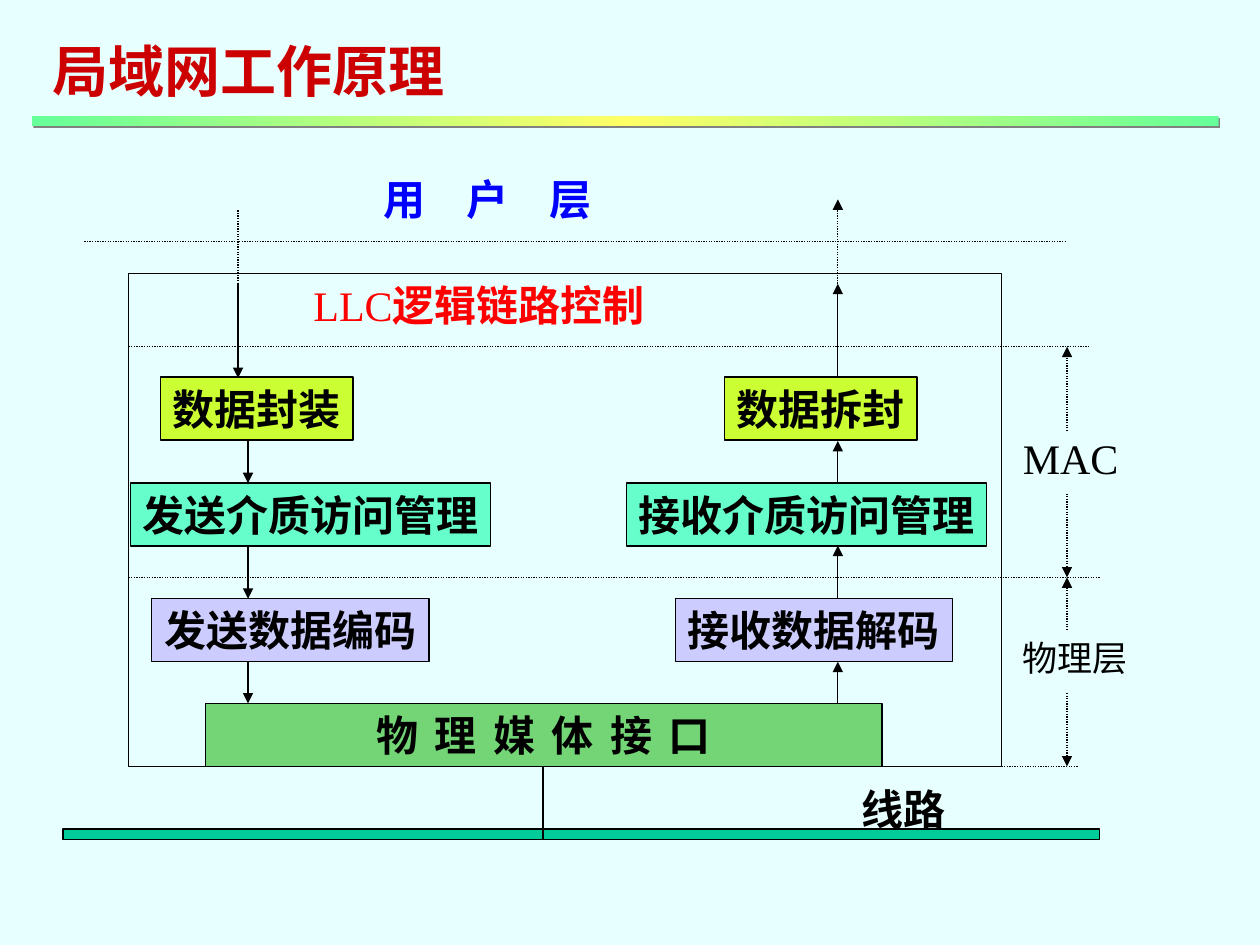
from lxml.etree import SubElement
from pptx import Presentation
from pptx.dml.color import RGBColor
from pptx.enum.dml import MSO_LINE
from pptx.enum.shapes import MSO_CONNECTOR, MSO_SHAPE
from pptx.enum.text import MSO_ANCHOR, PP_ALIGN
from pptx.oxml import parse_xml
from pptx.oxml.ns import nsdecls, qn
from pptx.util import Cm, Pt

COLOURS = {
    "background": "E7FFFF", "title": "CC0000", "user": "0000FF", "llc": "FF0000",
    "black": "000000", "data": "CCFF33", "access": "66FFCC", "coding": "CCCCFF",
    "interface": "73D575", "cable": "00CC99", "rule_end": "66FF99",
    "rule_middle": "FFFF66", "rule_shadow": "808080",
}


def colour(name):
    return RGBColor.from_string(COLOURS[name])


def write(shape, runs, align=PP_ALIGN.LEFT, wrap=False, spacing=0):
    """Fill a shape with runs of (text, size, colour name, bold)."""
    frame = shape.text_frame
    frame.word_wrap = wrap
    frame.vertical_anchor = MSO_ANCHOR.TOP
    paragraph = frame.paragraphs[0]
    paragraph.alignment = align
    for text, size, colour_name, bold in runs:
        run = paragraph.add_run()
        run.text = text
        font_format = {"name": "Times New Roman", "size": Pt(size), "bold": bold}
        for attribute, value in font_format.items():
            setattr(run.font, attribute, value)
        run.font.color.rgb = colour(colour_name)
        if spacing:
            run.font._element.set("spc", str(int(spacing * 100)))


presentation = Presentation()
presentation.slide_width = Cm(25.4)
presentation.slide_height = Cm(19.05)
slide = presentation.slides.add_slide(presentation.slide_layouts[5])
slide.background.fill.solid()
slide.background.fill.fore_color.rgb = colour("background")

# Title and the shaded rule below it
title = slide.shapes.title
title_place = {"left": 0.81, "top": 0.61, "width": 9, "height": 1.63}
for attribute, value in title_place.items():
    setattr(title, attribute, Cm(value))
write(title, [("局域网工作原理", 32, "title", True)])

rule = slide.shapes.add_shape(MSO_SHAPE.RECTANGLE, Cm(0.64), Cm(2.34), Cm(23.93), Cm(0.21))
rule.line.fill.background()
rule.fill.gradient()
rule.fill.gradient_angle = 0
stops = rule._element.spPr.find(qn("a:gradFill")).find(qn("a:gsLst"))
for stop in list(stops):
    stops.remove(stop)
for position, name in [(0, "rule_end"), (50, "rule_middle"), (100, "rule_end")]:
    stop = SubElement(stops, qn("a:gs"), pos=str(position * 1000))
    SubElement(stop, qn("a:srgbClr"), val=COLOURS[name])
rule._element.spPr.append(parse_xml(
    f'<a:effectLst {nsdecls("a")}><a:outerShdw dist="17780" dir="2700000">'
    f'<a:srgbClr val="{COLOURS["rule_shadow"]}"/></a:outerShdw></a:effectLst>'))

# Boxes: left, top, width, height, fill, text
BOX_HEIGHT = 1.27
boxes = [
    (2.59, 5.51, 17.6, 9.94, None, ""),
    (1.27, 16.71, 20.9, 0.21, "cable", ""),
    (4.14, 14.18, 13.64, BOX_HEIGHT, "interface", "物 理 媒 体 接 口"),
]
stages = [
    (7.6, 3.89, "data", (3.23, "数据封装"), (14.6, "数据拆封")),
    (9.74, 7.26, "access", (2.63, "发送介质访问管理"), (12.63, "接收介质访问管理")),
    (12.06, 5.59, "coding", (3.06, "发送数据编码"), (13.62, "接收数据解码")),
]
for top, width, fill, *sides in stages:
    for left, text in sides:
        boxes.append((left, top, width, BOX_HEIGHT, fill, text))

for left, top, width, height, fill, text in boxes:
    box = slide.shapes.add_shape(MSO_SHAPE.RECTANGLE, Cm(left), Cm(top), Cm(width), Cm(height))
    box.shadow.inherit = False
    box.line.color.rgb = colour("black")
    box.line.width = Pt(0.75)
    if fill:
        box.fill.solid()
        box.fill.fore_color.rgb = colour(fill)
    else:
        box.fill.background()
    if text:
        spread = fill == "interface"
        write(box, [(text, 24, "black", True)], wrap=spread, spacing=2 if spread else 0,
              align=PP_ALIGN.CENTER if spread else PP_ALIGN.LEFT)

# Labels: left, top, width, height, letter spacing, runs
labels = [
    (7.49, 3.38, 5.2, 1.27, 9, [("用 户 层", 24, "user", True)]),
    (6.07, 5.51, 7.49, 1.27, 0, [("LLC", 24, "llc", False), ("逻辑链路控制", 24, "llc", True)]),
    (17.12, 15.67, 2.5, 1.27, 0, [("线路", 24, "black", True)]),
    (20.37, 8.59, 2.6, 1.27, 0, [("MAC", 24, "black", False)]),
    (20.37, 12.7, 2.8, 1.12, 0, [("物理层", 20, "black", False)]),
]
for left, top, width, height, spacing, runs in labels:
    label = slide.shapes.add_textbox(Cm(left), Cm(top), Cm(width), Cm(height))
    write(label, runs, spacing=spacing)

# Lines: start x, start y, end x, end y, arrow, dotted
SEND_TOP, SEND, RECEIVE, SPAN = 4.8, 5, 16.89, 21.51
lines = [
    (1.7, 4.87, SPAN, 4.87, False, True),
    (2.59, 6.99, 21.95, 6.99, False, True),
    (2.59, 11.64, 22.17, 11.64, False, True),
    (20.19, 15.45, 21.74, 15.45, False, True),
    (10.95, 15.45, 10.95, 16.94, False, False),
    (SEND_TOP, 4.24, SEND_TOP, 5.72, False, True),
    (SEND_TOP, 5.72, SEND_TOP, 7.62, True, False),
    (RECEIVE, 7.62, RECEIVE, 5.72, True, False),
    (RECEIVE, 5.72, RECEIVE, 4.02, True, True),
]
for upper, lower in [(8.89, 9.74), (11, 12.07), (13.34, 14.18)]:
    lines.append((SEND, upper, SEND, lower, True, False))
    lines.append((RECEIVE, lower, RECEIVE, upper, True, False))
for start, end in [(8.69, 6.99), (9.95, 11.64), (12.7, 11.64), (13.97, 15.45)]:
    lines.append((SPAN, start, SPAN, end, True, True))

for start_x, start_y, end_x, end_y, arrow, dotted in lines:
    line = slide.shapes.add_connector(
        MSO_CONNECTOR.STRAIGHT, Cm(start_x), Cm(start_y), Cm(end_x), Cm(end_y))
    line.line.color.rgb = colour("black")
    line.line.width = Pt(0.75)
    if dotted:
        line.line.dash_style = MSO_LINE.ROUND_DOT
    if arrow:
        SubElement(line.line._get_or_add_ln(), qn("a:tailEnd"), type="triangle")
    SubElement(line._element.spPr, qn("a:effectLst"))

presentation.save("out.pptx")
